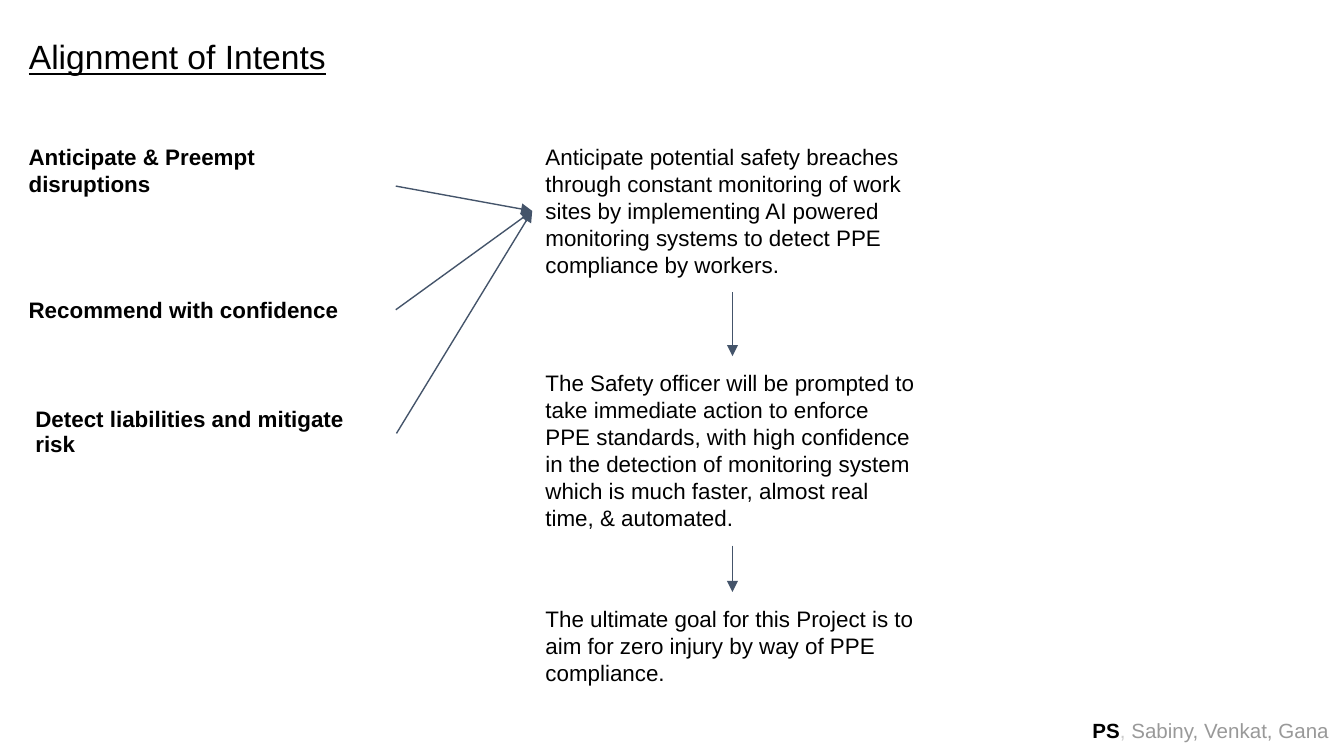
"""Build the Alignment of Intents slide, linking three intents to a chain of outcomes."""
import dataclasses

import lxml.etree
import pptx
import pptx.dml.color
import pptx.enum.shapes
import pptx.enum.text
import pptx.oxml.ns
import pptx.util

PX = 4572
TOP, LEFT, BOTTOM, RIGHT = range(4)


@dataclasses.dataclass(frozen=True)
class Theme:
    font: str = "Arial"
    text: str = "000000"
    fill: str = "FFFFFF"
    line: str = "44546A"
    muted: str = "999999"
    faint: str = "CCCCCC"
    title: int = 18
    body: int = 12
    credit: int = 11
    line_width: float = 0.75


THEME = Theme()

INTENTS = [
    ("Anticipate & Preempt disruptions", (23, 193, 566, 168), None),
    ("Recommend with confidence", (23, 421, 566, 80), None),
    ("Detect liabilities and mitigate risk", (33, 588, 557, 114), 0.9),
]
OUTCOMES = [
    ("Anticipate potential safety breaches through constant monitoring of work "
     "sites by implementing AI powered monitoring systems to detect PPE "
     "compliance by workers.", (792, 193, 596, 242)),
    ("The Safety officer will be prompted to take immediate action to enforce "
     "PPE standards, with high confidence in the detection of monitoring system "
     "which is much faster, almost real time, & automated.", (792, 530, 596, 282)),
    ("The ultimate goal for this Project is to aim for zero injury by way of "
     "PPE compliance.", (792, 881, 596, 162)),
]


def px(*values):
    return [pptx.util.Emu(v * PX) for v in values]


def rgb(color):
    return pptx.dml.color.RGBColor.from_string(color)


def add_run(p, text, size=THEME.body, color=THEME.text, bold=False, underline=False):
    r = p.add_run()
    r.text = text
    r.font.name = THEME.font
    r.font.size = pptx.util.Pt(size)
    r.font.color.rgb = rgb(color)
    r.font.bold = bold
    r.font.underline = underline


def format_frame(sp):
    tf = sp.text_frame
    tf.word_wrap = True
    tf.auto_size = pptx.enum.text.MSO_AUTO_SIZE.NONE
    tf.vertical_anchor = pptx.enum.text.MSO_ANCHOR.TOP
    tf.margin_left = tf.margin_top = tf.margin_right = tf.margin_bottom = px(20)[0]
    p = tf.paragraphs[0]
    p.alignment = pptx.enum.text.PP_ALIGN.LEFT
    return p


def add_title(s, text, box):
    sp = s.shapes.title
    sp.left, sp.top, sp.width, sp.height = px(*box)
    sp.fill.solid()
    sp.fill.fore_color.rgb = rgb(THEME.fill)
    add_run(format_frame(sp), text, size=THEME.title, underline=True)


def add_box(s, text, box, spacing=None, **style):
    sp = s.shapes.add_shape(pptx.enum.shapes.MSO_SHAPE.RECTANGLE, *px(*box))
    sp.shadow.inherit = False
    sp.fill.solid()
    sp.fill.fore_color.rgb = rgb(THEME.fill)
    sp.line.fill.background()
    p = format_frame(sp)
    p.line_spacing = spacing
    add_run(p, text, **style)
    return sp


def add_arrow(s, start, start_site, end, end_site):
    c = s.shapes.add_connector(pptx.enum.shapes.MSO_CONNECTOR.STRAIGHT, 0, 0, 0, 0)
    c.begin_connect(start, start_site)
    c.end_connect(end, end_site)
    c.line.color.rgb = rgb(THEME.line)
    c.line.width = pptx.util.Pt(THEME.line_width)
    qn = pptx.oxml.ns.qn
    ln = c.line._get_or_add_ln()
    lxml.etree.SubElement(ln, qn("a:tailEnd"), type="triangle")
    lxml.etree.SubElement(c._element.spPr, qn("a:effectLst"))


def add_credit(s, box):
    p = format_frame(s.shapes.add_textbox(*px(*box)))
    add_run(p, "PS", size=THEME.credit, bold=True)
    add_run(p, ", ", size=THEME.credit, color=THEME.faint)
    add_run(p, "Sabiny, Venkat, Gana", size=THEME.credit, color=THEME.muted)


def main():
    prs = pptx.Presentation()
    prs.slide_width, prs.slide_height = px(2000, 1125)
    s = prs.slides.add_slide(prs.slide_layouts[5])
    add_title(s, "Alignment of Intents", (23, 34, 567, 100))
    intents = [add_box(s, text, box, spacing, bold=True) for text, box, spacing in INTENTS]
    outcomes = [add_box(s, text, box) for text, box in OUTCOMES]
    for intent in intents:
        add_arrow(s, intent, RIGHT, outcomes[0], LEFT)
    for upper, lower in zip(outcomes, outcomes[1:]):
        add_arrow(s, upper, BOTTOM, lower, TOP)
    add_credit(s, (1606, 1049, 394, 78))
    prs.save("out.pptx")


if __name__ == "__main__":
    main()
